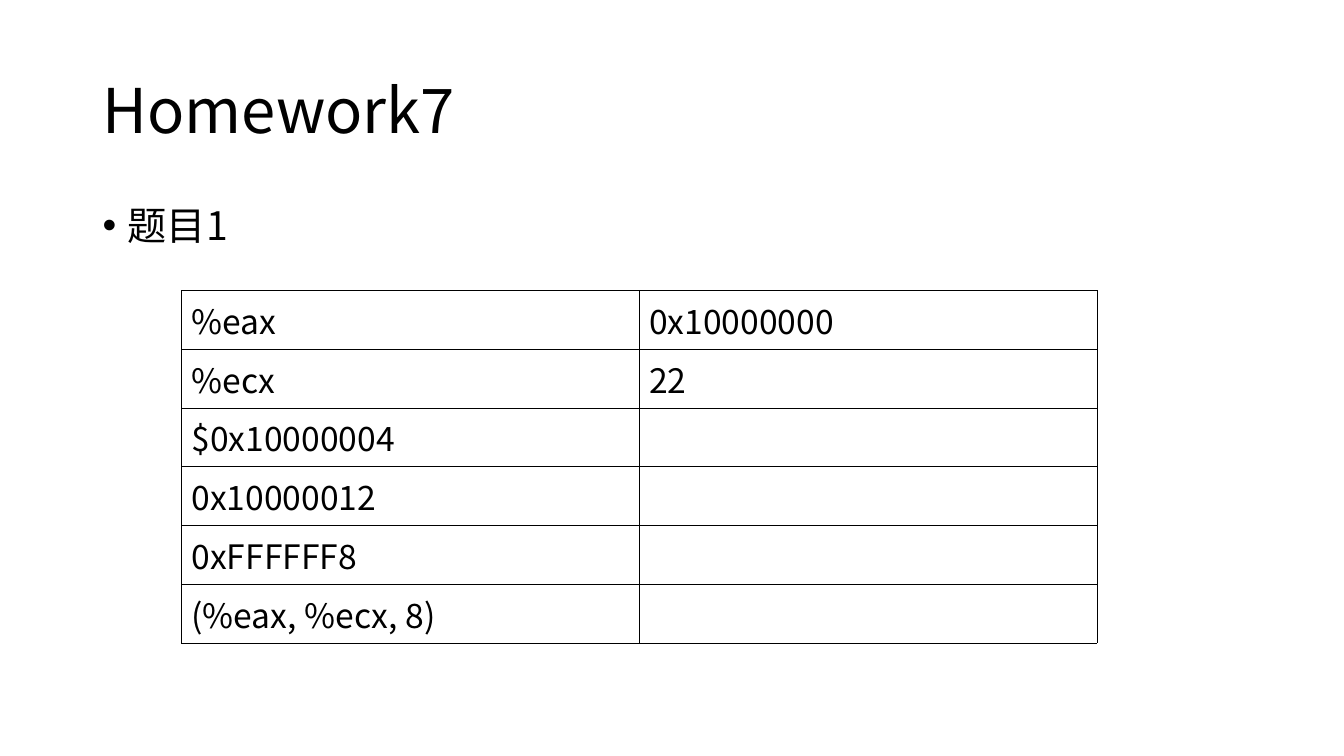
import pptx
import pptx.dml.color
import pptx.enum.text
import pptx.oxml
import pptx.oxml.ns
import pptx.util
from pptx.util import Inches

BLACK = pptx.dml.color.RGBColor(0, 0, 0)
WHITE = pptx.dml.color.RGBColor(255, 255, 255)
MIDDLE = pptx.enum.text.MSO_ANCHOR.MIDDLE
TOP = pptx.enum.text.MSO_ANCHOR.TOP
NS = pptx.oxml.ns.nsdecls("a")


class SlideBuilder:
    font_name = "Noto Sans CJK SC"
    border_width = pptx.util.Pt(0.48)

    def __init__(self, slide):
        self.slide = slide
        slide.background.fill.solid()
        slide.background.fill.fore_color.rgb = WHITE

    def add_run(self, paragraph, text, size):
        run = paragraph.add_run()
        run.text = text
        run.font.size = pptx.util.Pt(size)
        run.font.name = self.font_name
        run.font.color.rgb = BLACK
        run.font._element.append(
            pptx.oxml.parse_xml(f'<a:ea {NS} typeface="{self.font_name}"/>'))

    def text(self, left, top, width, height, text, size, anchor):
        box = self.slide.shapes.add_textbox(
            Inches(left), Inches(top), Inches(width), Inches(height))
        frame = box.text_frame
        frame.word_wrap = True
        frame.vertical_anchor = anchor
        paragraph = frame.paragraphs[0]
        paragraph.line_spacing = 0.9
        self.add_run(paragraph, text, size)
        return paragraph

    def bullet(self, *args):
        paragraph = self.text(*args)
        paragraph.space_before = pptx.util.Pt(10)
        properties = paragraph._p.get_or_add_pPr()
        properties.set("marL", str(Inches(0.25)))
        properties.set("indent", str(Inches(-0.25)))
        for bullet_xml in (f'<a:buFont {NS} typeface="Arial"/>',
                           f'<a:buChar {NS} char="•"/>'):
            properties.append(pptx.oxml.parse_xml(bullet_xml))

    def border(self, cell):
        properties = cell._tc.get_or_add_tcPr()
        for position, side in enumerate("LRTB"):
            properties.insert(position, pptx.oxml.parse_xml(
                f'<a:ln{side} {NS} w="{self.border_width}"><a:solidFill>'
                f'<a:srgbClr val="{BLACK}"/></a:solidFill></a:ln{side}>'))

    def table(self, left, top, width, height, rows, size):
        table = self.slide.shapes.add_table(
            len(rows), len(rows[0]), Inches(left), Inches(top),
            Inches(width), Inches(height)).table
        table.first_row = table.horz_banding = False
        for r, row in enumerate(rows):
            for c, value in enumerate(row):
                cell = table.cell(r, c)
                cell.fill.background()
                cell.vertical_anchor = MIDDLE
                self.border(cell)
                if value:
                    self.add_run(cell.text_frame.paragraphs[0], value, size)


presentation = pptx.Presentation()
presentation.slide_width = Inches(13.33)
presentation.slide_height = Inches(7.5)
homework = SlideBuilder(
    presentation.slides.add_slide(presentation.slide_layouts[6]))

# Heading and question
homework.text(0.92, 0.4, 11.5, 1.45, "Homework7", 44, MIDDLE)
homework.bullet(0.92, 2, 11.5, 4.76, "题目1", 28, TOP)

# Operands and their values, left empty where to be answered
operands = [
    ("%eax", "0x10000000"),
    ("%ecx", "22"),
    ("$0x10000004", ""),
    ("0x10000012", ""),
    ("0xFFFFFF8", ""),
    ("(%eax, %ecx, 8)", ""),
]
homework.table(1.8, 2.88, 9.08, 3.5, operands, 24)

presentation.save("out.pptx")
